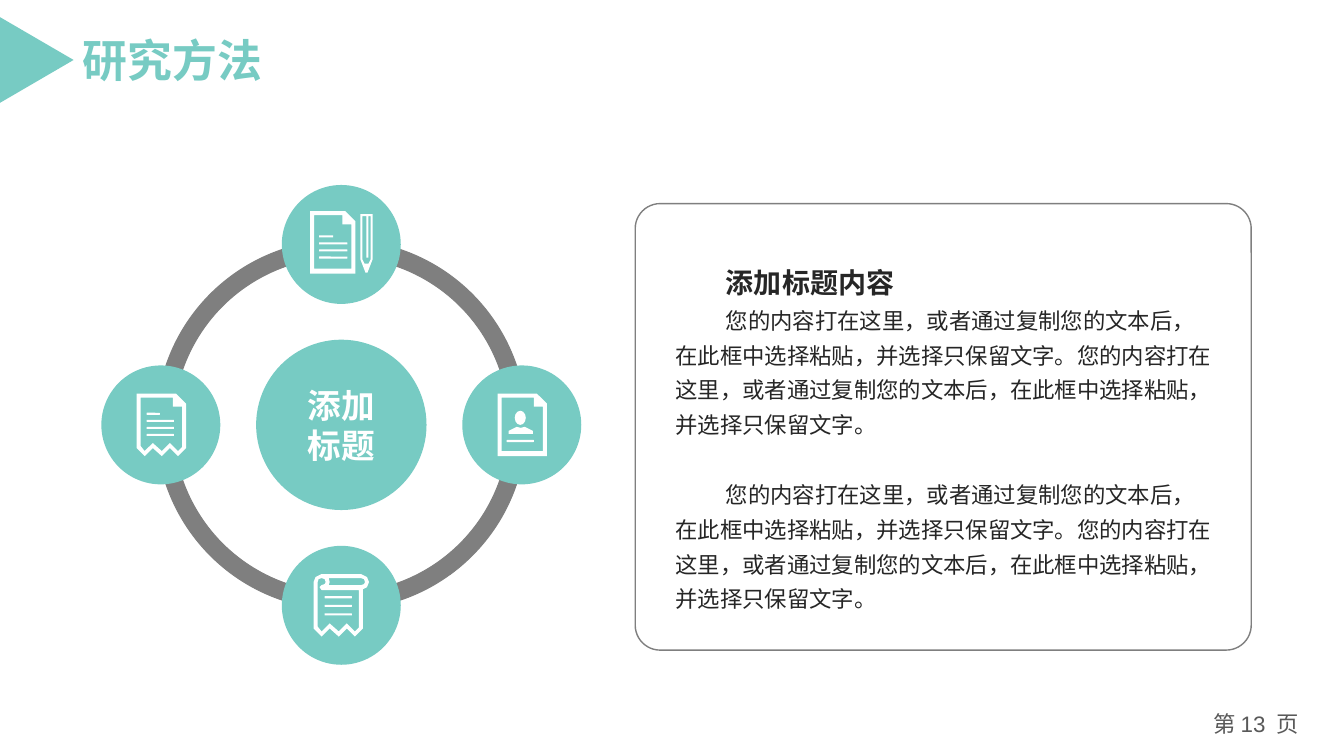
"""Build the research methods slide: a ring of four icon discs beside a text panel."""
from dataclasses import dataclass
from itertools import pairwise

from lxml.etree import SubElement
from pptx import Presentation
from pptx.dml.color import RGBColor
from pptx.enum.shapes import MSO_SHAPE
from pptx.enum.text import MSO_ANCHOR, MSO_AUTO_SIZE, PP_ALIGN
from pptx.oxml.ns import qn
from pptx.util import Inches, Pt


@dataclass(frozen=True)
class Theme:
    teal: str = "77CBC3"
    gray: str = "7F7F7F"
    white: str = "FFFFFF"
    ink: str = "262626"
    footer: str = "595959"
    latin: str = "Arial"
    chinese: str = "Noto Sans CJK SC"
    title_size: int = 32
    hub_size: int = 24
    heading_size: int = 20
    body_size: int = 16


THEME = Theme()

TITLE = "研究方法"
HUB_LINES = ["添加", "标题"]
HEADING = "添加标题内容"
PASSAGE = (
    "您的内容打在这里，或者通过复制您的文本后，在此框中选择粘贴，并选择只保留文字。"
    "您的内容打在这里，或者通过复制您的文本后，在此框中选择粘贴，并选择只保留文字。"
)
FOOTER = [("第 ", THEME.chinese), ("13 ", THEME.latin), (" 页", THEME.chinese)]

HUB = (3.385, 4.215)
HUB_SIZE, DISC_SIZE, RING_SIZE, ORBIT = 1.69, 1.18, 3.67, 1.79
RING_ANGLES = [0, 54, 108, 162, 0]
RING_THICKNESS = 0.046
RULE_HEIGHT = 0.02

TORN_OUTER = [(0.49, 0.54), (0.41, 0.62), (0.33, 0.54), (0.25, 0.62),
              (0.16, 0.54), (0.08, 0.62), (0, 0.54)]
TORN_INNER = [(0.45, 0.53), (0.41, 0.57), (0.33, 0.49), (0.25, 0.57),
              (0.16, 0.49), (0.08, 0.57), (0.04, 0.52)]
PENCIL = [
    [(0.5, 0.03), (0.62, 0.03), (0.62, 0.48), (0.57, 0.61), (0.55, 0.61), (0.5, 0.48)],
    [(0.52, 0.05), (0.56, 0.05), (0.56, 0.46), (0.58, 0.46), (0.58, 0.05),
     (0.6, 0.05), (0.6, 0.48), (0.58, 0.52), (0.54, 0.52), (0.52, 0.48)],
]
SCROLL = [
    [(0.02, 0.03), (0.08, 0), (0.47, 0), (0.53, 0.03), (0.55, 0.08), (0.53, 0.13),
     (0.49, 0.15), *TORN_OUTER, (0, 0.08)],
    [(0.45, 0.16), *TORN_INNER, (0.04, 0.08), (0.05, 0.05), (0.08, 0.04), (0.11, 0.05),
     (0.12, 0.08), (0.11, 0.1), (0.08, 0.11), (0.06, 0.13), (0.08, 0.16)],
    [(0.15, 0.11), (0.16, 0.08), (0.15, 0.04), (0.47, 0.04), (0.5, 0.05),
     (0.51, 0.08), (0.5, 0.1), (0.47, 0.11)],
]
SHOULDERS = [[(0.11, 0.4), (0.11, 0.37), (0.19, 0.33), (0.23, 0.34),
              (0.27, 0.33), (0.35, 0.37), (0.35, 0.4)]]
HEAD = (0.17, 0.17, 0.11, 0.14)


def folded_page(width, outer=None, inner=None):
    outer = outer or [(width, 0.62), (0, 0.62)]
    inner = inner or [(width - 0.04, 0.57), (0.04, 0.57)]
    fold = width - 0.13
    return [
        [(0, 0), (width - 0.1, 0), (width, 0.1), *outer],
        [(0.04, 0.04), (fold, 0.04), (fold, 0.13), (width - 0.04, 0.13), *inner],
    ]


def rules(left, top, step, widths):
    return [(left, top + step * row, width, RULE_HEIGHT) for row, width in enumerate(widths)]


ICONS = [
    {"way": (0, 1), "origin": (-0.275, -0.31), "outlines": [SCROLL], "ovals": [],
     "rules": rules(0.11, 0.22, 0.085, [0.27] * 3)},
    {"way": (-1, 0), "origin": (-0.24, -0.31), "ovals": [],
     "outlines": [folded_page(0.49, TORN_OUTER, TORN_INNER)],
     "rules": rules(0.1, 0.19, 0.07, [0.13] + [0.27] * 3)},
    {"way": (0, -1), "origin": (-0.31, -0.33), "ovals": [],
     "outlines": [folded_page(0.45), PENCIL],
     "rules": rules(0.09, 0.24, 0.07, [0.14] + [0.28] * 3)},
    {"way": (1, 0), "origin": (-0.24, -0.31), "ovals": [HEAD],
     "outlines": [folded_page(0.49), SHOULDERS],
     "rules": rules(0.09, 0.46, 0, [0.27])},
]


def paint(shape, fill=None, line=None, line_width=0.75):
    shape.shadow.inherit = False
    if fill:
        shape.fill.solid()
        shape.fill.fore_color.rgb = RGBColor.from_string(fill)
    else:
        shape.fill.background()
    if line:
        shape.line.color.rgb = RGBColor.from_string(line)
        shape.line.width = Pt(line_width)
    else:
        shape.line.fill.background()
    return shape


def place(shape, left, top, width, height):
    shape.left, shape.top = Inches(left), Inches(top)
    shape.width, shape.height = Inches(width), Inches(height)


def add_preset(page, kind, left, top, width, height, **look):
    shape = page.shapes.add_shape(kind, Inches(left), Inches(top), Inches(width), Inches(height))
    return paint(shape, **look)


def add_disc(page, center, size, fill):
    return add_preset(page, MSO_SHAPE.OVAL, center[0] - size / 2, center[1] - size / 2,
                      size, size, fill=fill)


def add_outline(page, origin, contours):
    moved = [[(Inches(origin[0] + x), Inches(origin[1] + y)) for x, y in contour]
             for contour in contours]
    builder = page.shapes.build_freeform(*moved[0][0])
    for number, contour in enumerate(moved):
        if number:
            builder.move_to(*contour[0])
        builder.add_line_segments(contour[1:], close=True)
    paint(builder.convert_to_shape(), fill=THEME.white)


def add_span(para, text, size, color, font=THEME.chinese, bold=False):
    span = para.add_run()
    span.text = text
    span.font.size, span.font.bold, span.font.name = Pt(size), bold, font
    span.font.color.rgb = RGBColor.from_string(color)
    SubElement(span.font._element, qn("a:ea")).set("typeface", THEME.chinese)


def set_frame(box, anchor, wrap=True):
    frame = box.text_frame
    frame.auto_size, frame.word_wrap = MSO_AUTO_SIZE.NONE, wrap
    frame.vertical_anchor = anchor
    return frame


def add_title(page):
    box = page.shapes.title
    place(box, 0.69, 0.26, 2.06, 0.67)
    frame = set_frame(box, MSO_ANCHOR.MIDDLE, wrap=False)
    frame.margin_left = frame.margin_right = Inches(0.13)
    para = frame.paragraphs[0]
    para.alignment = PP_ALIGN.LEFT
    add_span(para, TITLE, THEME.title_size, THEME.teal, THEME.latin, True)
    triangle = add_preset(page, MSO_SHAPE.ISOSCELES_TRIANGLE, -0.06, 0.23, 0.85, 0.73,
                          fill=THEME.teal)
    triangle.rotation = 90


def add_wheel(page):
    corner = [middle - RING_SIZE / 2 for middle in HUB]
    for start, end in pairwise(RING_ANGLES):
        arc = add_preset(page, MSO_SHAPE.BLOCK_ARC, *corner, RING_SIZE, RING_SIZE,
                         fill=THEME.gray, line=THEME.gray)
        for index, value in enumerate((start * 0.6, end * 0.6, RING_THICKNESS)):
            arc.adjustments[index] = value
    frame = set_frame(add_disc(page, HUB, HUB_SIZE, THEME.teal), MSO_ANCHOR.MIDDLE)
    for number, line in enumerate(HUB_LINES):
        para = frame.add_paragraph() if number else frame.paragraphs[0]
        para.alignment = PP_ALIGN.CENTER
        add_span(para, line, THEME.hub_size, THEME.white, THEME.latin, True)
    for icon in ICONS:
        center = [middle + ORBIT * step for middle, step in zip(HUB, icon["way"])]
        add_disc(page, center, DISC_SIZE, THEME.teal)
        left, top = (middle + shift for middle, shift in zip(center, icon["origin"]))
        for kind, parts in ((MSO_SHAPE.ROUNDED_RECTANGLE, icon["rules"]),
                            (MSO_SHAPE.OVAL, icon["ovals"])):
            for x, y, width, height in parts:
                add_preset(page, kind, left + x, top + y, width, height, fill=THEME.white)
        for contours in icon["outlines"]:
            add_outline(page, (left, top), contours)


def add_panel(page):
    panel = add_preset(page, MSO_SHAPE.ROUNDED_RECTANGLE, 6.3, 2.02, 6.11, 4.43,
                       line=THEME.gray, line_width=1)
    panel.adjustments[0] = 0.056
    box = page.placeholders[1]
    place(box, 6.6, 2.22, 5.55, 3.92)
    frame = set_frame(box, MSO_ANCHOR.TOP)
    rows = [(HEADING, THEME.heading_size, True, 50, 0),
            (PASSAGE, THEME.body_size, False, 24.9, 0),
            (PASSAGE, THEME.body_size, False, 24.9, 24.9)]
    for number, (text, size, bold, pitch, gap) in enumerate(rows):
        para = frame.add_paragraph() if number else frame.paragraphs[0]
        para.alignment = PP_ALIGN.LEFT
        para.line_spacing, para.space_before = Pt(pitch), Pt(gap)
        properties = para._p.get_or_add_pPr()
        properties.set("marL", "0")
        properties.set("indent", str(Inches(0.5)))
        SubElement(properties, qn("a:buNone"))
        add_span(para, text, size, THEME.ink, bold=bold)


def add_footer(page):
    box = page.shapes.add_textbox(Inches(11.86), Inches(6.98), Inches(1.2), Inches(0.4))
    para = set_frame(box, MSO_ANCHOR.MIDDLE).paragraphs[0]
    para.alignment = PP_ALIGN.CENTER
    for text, font in FOOTER:
        add_span(para, text, THEME.body_size, THEME.footer, font)


def main():
    deck = Presentation()
    deck.slide_width, deck.slide_height = Inches(13.33), Inches(7.5)
    page = deck.slides.add_slide(deck.slide_layouts[1])
    for add_part in (add_footer, add_wheel, add_panel, add_title):
        add_part(page)
    deck.save("out.pptx")


if __name__ == "__main__":
    main()
